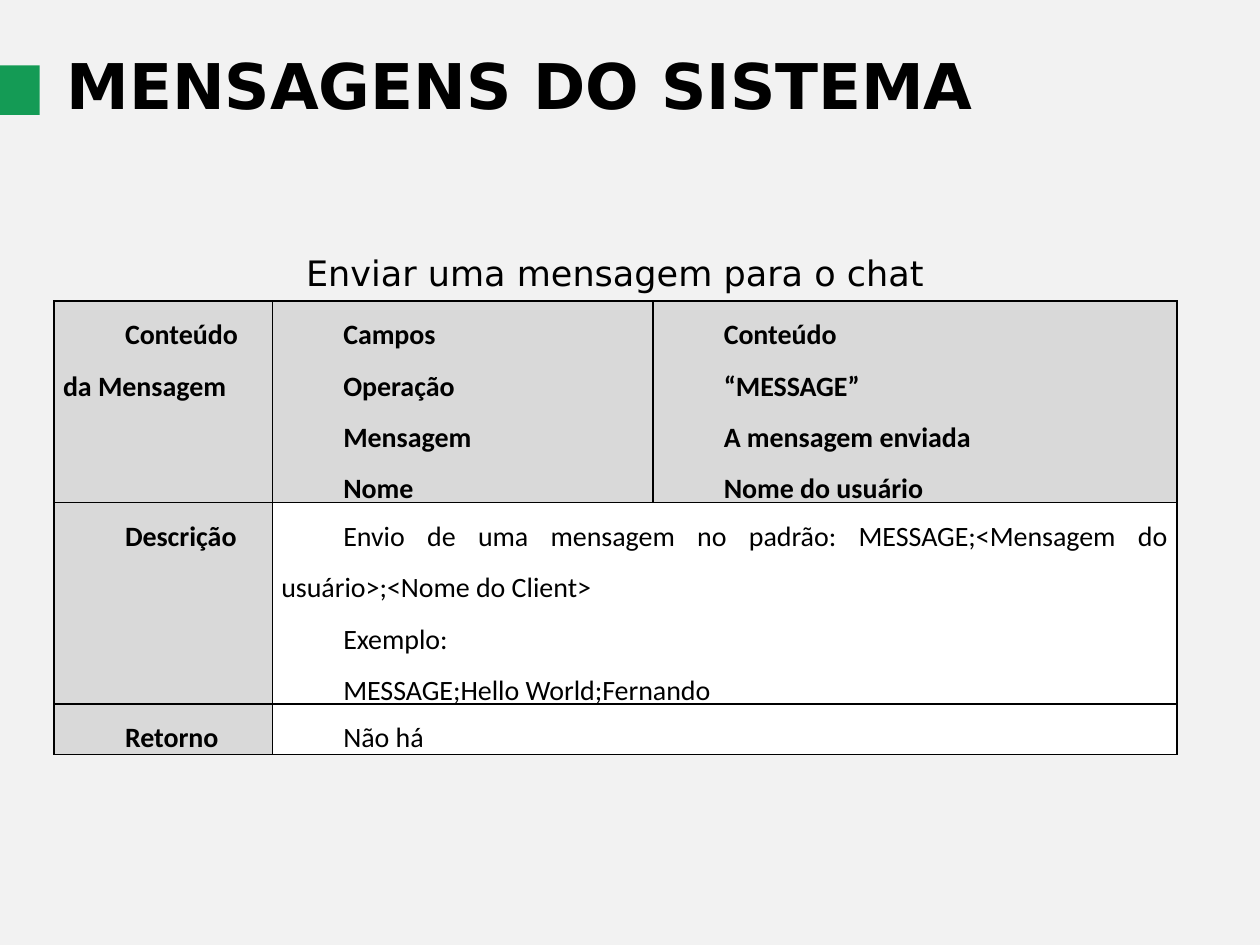
from lxml import etree
from pptx import Presentation
from pptx import util as u
from pptx.dml.color import RGBColor
from pptx.enum import shapes, text as t
from pptx.oxml import ns

BLACK = RGBColor(0, 0, 0)
WHITE = RGBColor(255, 255, 255)
GRAY = RGBColor(0xD9, 0xD9, 0xD9)
BACKGROUND = RGBColor(0xF2, 0xF2, 0xF2)
GREEN = RGBColor(0x14, 0x9B, 0x55)

COLUMN_WIDTHS = (4.4, 7.67, 10.57)
ROW_HEIGHTS = (3.53, 2.64, 0.81)
MESSAGE_ROWS = (
    (
        ("Conteúdo da Mensagem",),
        ("Campos", "Operação", "Mensagem", "Nome"),
        ("Conteúdo", "“MESSAGE”", "A mensagem enviada", "Nome do usuário"),
    ),
    (
        ("Descrição",),
        (
            "Envio de uma mensagem no padrão: "
            "MESSAGE;<Mensagem do usuário>;<Nome do Client>",
            "Exemplo:",
            "MESSAGE;Hello World;Fernando",
        ),
    ),
    (("Retorno",), ("Não há",)),
)


def write_text(frame, lines, size, font="DejaVu Sans", bold=False,
               align=t.PP_ALIGN.LEFT, spacing=None, indent=None):
    frame.word_wrap = True
    for index, line in enumerate(lines):
        paragraph = frame.paragraphs[0] if index == 0 else frame.add_paragraph()
        paragraph.alignment = align
        if spacing:
            paragraph.line_spacing = spacing
        if indent:
            properties = paragraph._p.get_or_add_pPr()
            properties.set("marL", "0")
            properties.set("indent", str(u.Cm(indent)))
        run = paragraph.add_run()
        run.text = line
        run.font.name = font
        run.font.size = u.Pt(size)
        run.font.bold = bold
        run.font.color.rgb = BLACK


def add_text_box(slide, line, left, top, width, height, **style):
    box = slide.shapes.add_textbox(*map(u.Cm, (left, top, width, height)))
    write_text(box.text_frame, [line], **style)
    box.text_frame.auto_size = t.MSO_AUTO_SIZE.SHAPE_TO_FIT_TEXT


def add_marker(slide, left, top, width, height):
    shape = slide.shapes.add_shape(
        shapes.MSO_SHAPE.RECTANGLE, *map(u.Cm, (left, top, width, height)))
    shape.shadow.inherit = False
    shape.fill.solid()
    shape.fill.fore_color.rgb = GREEN
    shape.line.fill.background()


def set_borders(cell, width=1):
    properties = cell._tc.get_or_add_tcPr()
    for index, side in enumerate(("lnL", "lnR", "lnT", "lnB")):
        line = etree.Element(ns.qn(f"a:{side}"), w=str(u.Pt(width)))
        fill = etree.SubElement(line, ns.qn("a:solidFill"))
        etree.SubElement(fill, ns.qn("a:srgbClr"), val=str(BLACK))
        properties.insert(index, line)


def format_cell(cell, color):
    cell.margin_left = cell.margin_right = u.Cm(0.18)
    cell.margin_top = cell.margin_bottom = 0
    cell.fill.solid()
    cell.fill.fore_color.rgb = color
    set_borders(cell)


def add_message_table(slide, left, top):
    size = sum(COLUMN_WIDTHS), sum(ROW_HEIGHTS)
    table = slide.shapes.add_table(
        len(ROW_HEIGHTS), len(COLUMN_WIDTHS),
        *map(u.Cm, (left, top, *size))).table
    table.first_row = table.horz_banding = False
    for column, width in zip(table.columns, COLUMN_WIDTHS):
        column.width = u.Cm(width)
    for row, height in zip(table.rows, ROW_HEIGHTS):
        row.height = u.Cm(height)
    for row_index, contents in enumerate(MESSAGE_ROWS):
        if len(contents) < len(COLUMN_WIDTHS):
            table.cell(row_index, 1).merge(table.cell(row_index, 2))
        for column_index in range(len(COLUMN_WIDTHS)):
            cell = table.cell(row_index, column_index)
            heading = row_index == 0 or column_index == 0
            format_cell(cell, GRAY if heading else WHITE)
            if column_index < len(contents):
                write_text(cell.text_frame, contents[column_index], size=16,
                           font="Calibri", bold=heading,
                           align=t.PP_ALIGN.JUSTIFY, spacing=1.5, indent=1.25)


def main():
    presentation = Presentation()
    presentation.slide_width = u.Cm(25.4)
    presentation.slide_height = u.Cm(19.05)
    slide = presentation.slides.add_slide(presentation.slide_layouts[6])
    slide.background.fill.solid()
    slide.background.fill.fore_color.rgb = BACKGROUND

    add_text_box(slide, "MENSAGENS DO SISTEMA", 1.09, 0.81, 20.02, 1.8,
                 size=36, bold=True)
    add_marker(slide, -0.1, 1.32, 0.9, 1)
    add_text_box(slide, "Enviar uma mensagem para o chat", 1.3, 4.95, 22.2, 1.12,
                 size=20, align=t.PP_ALIGN.CENTER)
    add_message_table(slide, 1.09, 6.07)
    presentation.save("out.pptx")


main()
